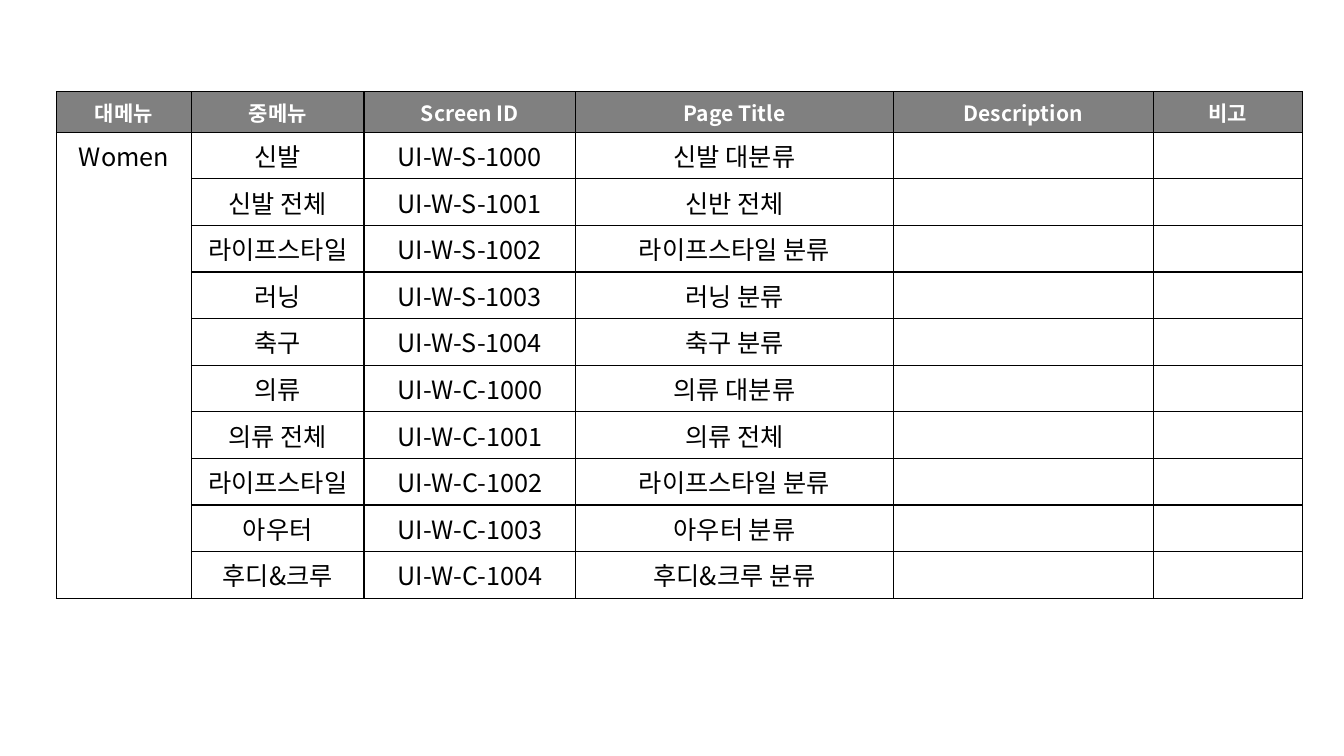
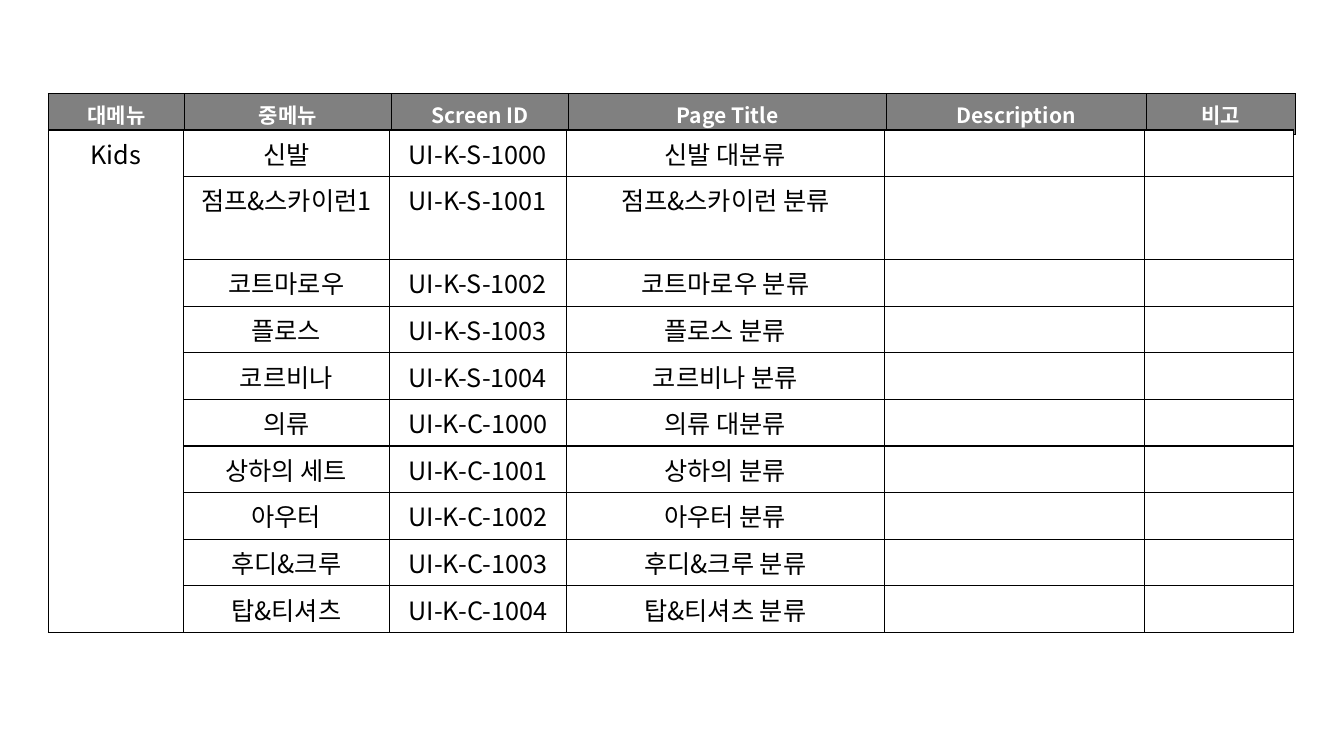
from dataclasses import dataclass

from lxml import etree
from pptx import Presentation
from pptx import util as u
from pptx.dml.color import RGBColor
from pptx.enum import text
from pptx.oxml import ns

# Shared style
FONT = "Noto Sans CJK KR"
COLOURS = {"head": "808080", "body": "FFFFFF", "ink": "000000", "light": "FFFFFF"}
HEADINGS = ("대메뉴", "중메뉴", "Screen ID", "Page Title", "Description", "비고")
HEAD_HEIGHT, ROW_HEIGHT = 0.35, 0.4
LAST_COLUMNS = (3.15, 2.58, 1.48)
BORDER_PT = 1
FIRST_ID = 1000


@dataclass(frozen=True)
class Section:
    code: str
    pages: tuple[tuple[str, str], ...]  # middle menu, page title


@dataclass(frozen=True)
class Block:
    left: float
    top: float
    first_columns: tuple[float, float, float]
    has_head: bool = False
    has_body: bool = False


@dataclass(frozen=True)
class Menu:
    name: str
    sections: tuple[Section, ...]
    blocks: tuple[Block, ...]


# Content
MENUS = (
    Menu(
        "Women",
        (
            Section("W-S", (
                ("신발", "신발 대분류"),
                ("신발 전체", "신반 전체"),
                ("라이프스타일", "라이프스타일 분류"),
                ("러닝", "러닝 분류"),
                ("축구", "축구 분류"),
            )),
            Section("W-C", (
                ("의류", "의류 대분류"),
                ("의류 전체", "의류 전체"),
                ("라이프스타일", "라이프스타일 분류"),
                ("아우터", "아우터 분류"),
                ("후디&크루", "후디&크루 분류"),
            )),
        ),
        (Block(0.56, 0.91, (1.34, 1.71, 2.1), has_head=True, has_body=True),),
    ),
    Menu(
        "Kids",
        (
            Section("K-S", (
                ("신발", "신발 대분류"),
                ("점프&스카이런1", "점프&스카이런 분류"),
                ("코트마로우", "코트마로우 분류"),
                ("플로스", "플로스 분류"),
                ("코르비나", "코르비나 분류"),
            )),
            Section("K-C", (
                ("의류", "의류 대분류"),
                ("상하의 세트", "상하의 분류"),
                ("아우터", "아우터 분류"),
                ("후디&크루", "후디&크루 분류"),
                ("탑&티셔츠", "탑&티셔츠 분류"),
            )),
        ),
        (
            Block(0.48, 0.93, (1.35, 2.05, 1.76), has_head=True),
            Block(0.48, 1.29, (1.34, 2.04, 1.76), has_body=True),
        ),
    ),
)


def write(cell, words: str, *, size: float, colour: str, bold: bool = False) -> None:
    paragraph = cell.text_frame.paragraphs[0]
    paragraph.alignment = text.PP_ALIGN.CENTER
    run = paragraph.add_run()
    run.text = words
    run.font.name = FONT
    run.font.size = u.Pt(size)
    run.font.bold = bold
    run.font.color.rgb = RGBColor.from_string(COLOURS[colour])
    east_asian = etree.SubElement(run.font._element, ns.qn("a:ea"))
    east_asian.set("typeface", FONT)


def paint(cell, fill: str) -> None:
    """Fill a cell and draw its four borders."""
    cell.fill.solid()
    cell.fill.fore_color.rgb = RGBColor.from_string(COLOURS[fill])
    properties = cell._tc.get_or_add_tcPr()
    for position, side in enumerate(("lnL", "lnR", "lnT", "lnB")):
        line = etree.Element(ns.qn(f"a:{side}"), w=str(u.Pt(BORDER_PT)))
        solid = etree.SubElement(line, ns.qn("a:solidFill"))
        etree.SubElement(solid, ns.qn("a:srgbClr"), val=COLOURS["ink"])
        properties.insert(position, line)


def body_rows(menu: Menu) -> list[tuple[str, ...]]:
    rows = [
        ("", middle, f"UI-{section.code}-{number}", title, "", "")
        for section in menu.sections
        for number, (middle, title) in enumerate(section.pages, FIRST_ID)
    ]
    rows[0] = (menu.name, *rows[0][1:])
    return rows


def draw_block(slide, menu: Menu, block: Block) -> None:
    head = [HEADINGS] if block.has_head else []
    body = body_rows(menu) if block.has_body else []
    rows = head + body
    widths = block.first_columns + LAST_COLUMNS
    heights = [HEAD_HEIGHT] * len(head) + [ROW_HEIGHT] * len(body)
    bounds = (block.left, block.top, sum(widths), sum(heights))
    table = slide.shapes.add_table(
        len(rows), len(widths), *(u.Inches(length) for length in bounds)
    ).table
    table.first_row = table.horz_banding = False

    for column, width in zip(table.columns, widths):
        column.width = u.Inches(width)
    for y, (words_in_row, height) in enumerate(zip(rows, heights)):
        table.rows[y].height = u.Inches(height)
        is_head = y < len(head)
        for x, words in enumerate(words_in_row):
            cell = table.cell(y, x)
            paint(cell, "head" if is_head else "body")
            if words:
                write(cell, words, size=15 if is_head else 18,
                      colour="light" if is_head else "ink", bold=is_head)

    # The main menu spans all of its pages
    if body:
        table.cell(len(head), 0).merge(table.cell(len(rows) - 1, 0))


def main() -> None:
    deck = Presentation()
    deck.slide_width, deck.slide_height = u.Inches(13.33), u.Inches(7.5)
    blank = deck.slide_layouts[6]
    for menu in MENUS:
        slide = deck.slides.add_slide(blank)
        for block in menu.blocks:
            draw_block(slide, menu, block)
    deck.save("out.pptx")


if __name__ == "__main__":
    main()
